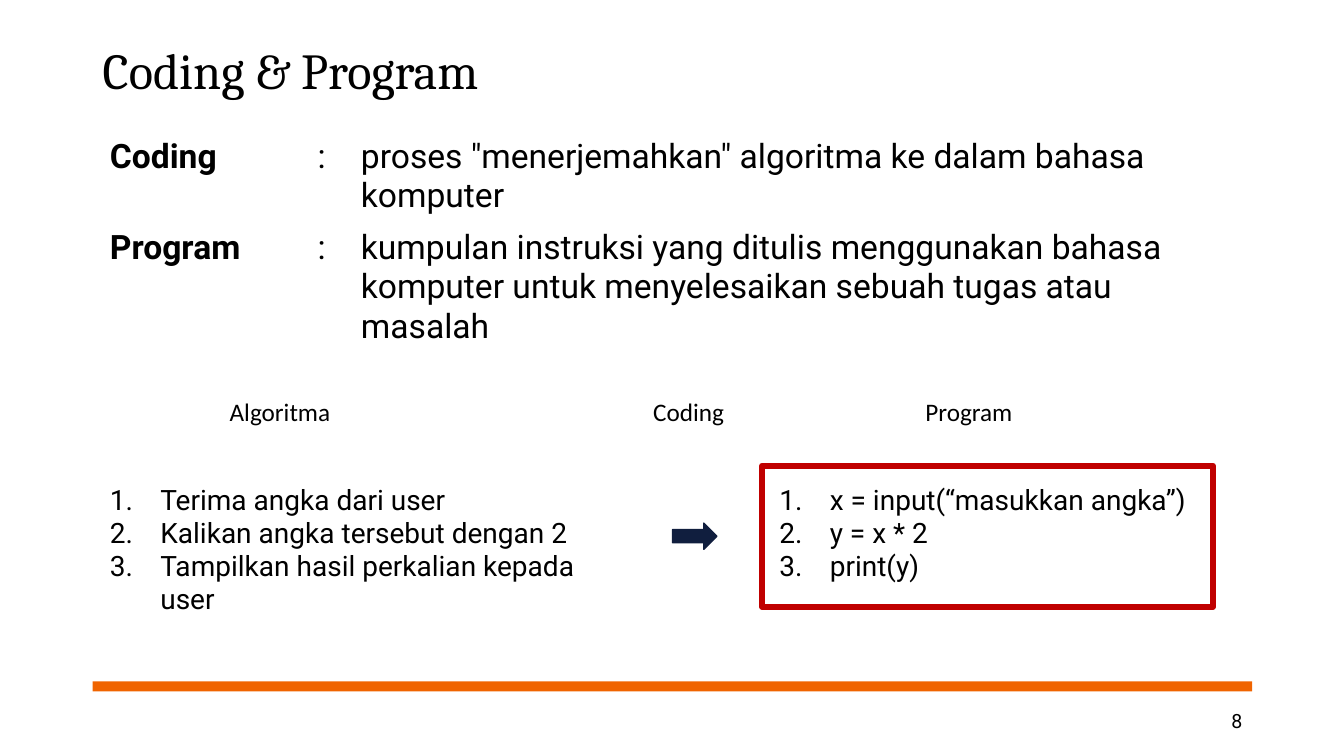
from lxml import etree
from pptx import Presentation
from pptx.dml.color import RGBColor
from pptx.enum.shapes import MSO_SHAPE
from pptx.enum.text import MSO_ANCHOR, MSO_AUTO_SIZE, PP_ALIGN
from pptx.oxml.ns import qn
from pptx.util import Inches, Pt

RECT = MSO_SHAPE.RECTANGLE
ARROW = MSO_SHAPE.RIGHT_ARROW
MIDDLE = MSO_ANCHOR.MIDDLE
FIT = MSO_AUTO_SIZE.SHAPE_TO_FIT_TEXT
RIGHT = PP_ALIGN.RIGHT

COLORS = {"text": "000000", "bar": "F06400", "arrow": "101E3E", "frame": "C00000"}
TITLE, BODY, LABEL = "Cambria", "Roboto", "Calibri"


def color(name):
    return RGBColor.from_string(COLORS[name])


def write(para, text, name, size, bold=False):
    para.text = text
    font = para.font
    font.name, font.size, font.bold = name, Pt(size), bold
    font.color.rgb = color("text")


prs = Presentation()
prs.slide_width, prs.slide_height = Inches(13.33), Inches(7.5)
slide = prs.slides.add_slide(prs.slide_layouts[6])
shapes = slide.shapes

# Footer bar
bar = shapes.add_shape(RECT, Inches(0.92), Inches(6.76), Inches(11.5), Inches(0.1))
bar.shadow.inherit = False
bar.fill.solid()
bar.fill.fore_color.rgb = color("bar")
bar.line.fill.background()

# Title and page number
title = shapes.add_textbox(Inches(0.92), Inches(0.24), Inches(11.5), Inches(0.98))
number = shapes.add_textbox(Inches(9.42), Inches(6.95), Inches(3), Inches(0.4))
for box, text, name, size in (
    (title, "Coding & Program", TITLE, 36),
    (number, "8", BODY, 14),
):
    frame = box.text_frame
    frame.word_wrap = True
    frame.vertical_anchor = MIDDLE
    write(frame.paragraphs[0], text, name, size)
title.text_frame.paragraphs[0].line_spacing = 0.9
number.text_frame.paragraphs[0].alignment = RIGHT

# Tables: numbered steps below, definitions above
steps = [[
    ["Terima angka dari user",
     "Kalikan angka tersebut dengan 2",
     "Tampilkan hasil perkalian kepada user"],
    [],
    ["x = input(“masukkan angka”)", "y = x * 2", "print(y)"],
]]
terms = [
    [["Coding"], [":"],
     ["proses \"menerjemahkan\" algoritma ke dalam bahasa komputer"]],
    [["Program"], [":"],
     ["kumpulan instruksi yang ditulis menggunakan bahasa komputer "
      "untuk menyelesaikan sebuah tugas atau masalah"]],
]
for rows, top, height, widths, size, listed in (
    (steps, 4.76, 1.1, (5.38, 1.26, 4.79), 20, True),
    (terms, 1.31, 1.8, (2.06, 0.43, 8.94), 24, False),
):
    holder = shapes.add_table(len(rows), 3, Inches(0.99), Inches(top),
                              Inches(11.43), Inches(height))
    table = holder.table
    table.first_row = table.horz_banding = False
    for column, width in zip(table.columns, widths):
        column.width = Inches(width)
    for r, row in enumerate(rows):
        table.rows[r].height = Inches(0.41)
        for c, lines in enumerate(row):
            cell = table.cell(r, c)
            cell.fill.background()
            frame = cell.text_frame
            for i, line in enumerate(lines):
                para = frame.add_paragraph() if i else frame.paragraphs[0]
                if listed:
                    props = para._p.get_or_add_pPr()
                    props.set("marL", str(Inches(0.5)))
                    props.set("indent", str(Inches(-0.5)))
                    mark = etree.SubElement(props, qn("a:buAutoNum"))
                    mark.set("type", "arabicPeriod")
                write(para, line, BODY, size, bold=not listed and c == 0)
    holder.height = Inches(height)

# Arrow from algorithm to program
arrow = shapes.add_shape(ARROW, Inches(6.67), Inches(5.19), Inches(0.44), Inches(0.26))
arrow.shadow.inherit = False
arrow.fill.solid()
arrow.fill.fore_color.rgb = color("arrow")
arrow.line.color.rgb = color("arrow")
arrow.line.width = Pt(1)

# Frame around the program
border = shapes.add_shape(RECT, Inches(7.56), Inches(4.62), Inches(4.47), Inches(1.4))
border.shadow.inherit = False
border.fill.background()
border.line.color.rgb = color("frame")
border.line.width = Pt(4.5)

# Column labels
for text, left, width in (
    ("Algoritma", 2.18, 1.34),
    ("Coding", 6.38, 1.01),
    ("Program", 9.08, 1.16),
):
    label = shapes.add_textbox(Inches(left), Inches(3.88), Inches(width), Inches(0.4))
    label.text_frame.word_wrap = False
    label.text_frame.auto_size = FIT
    write(label.text_frame.paragraphs[0], text, LABEL, 18)

prs.save("out.pptx")
